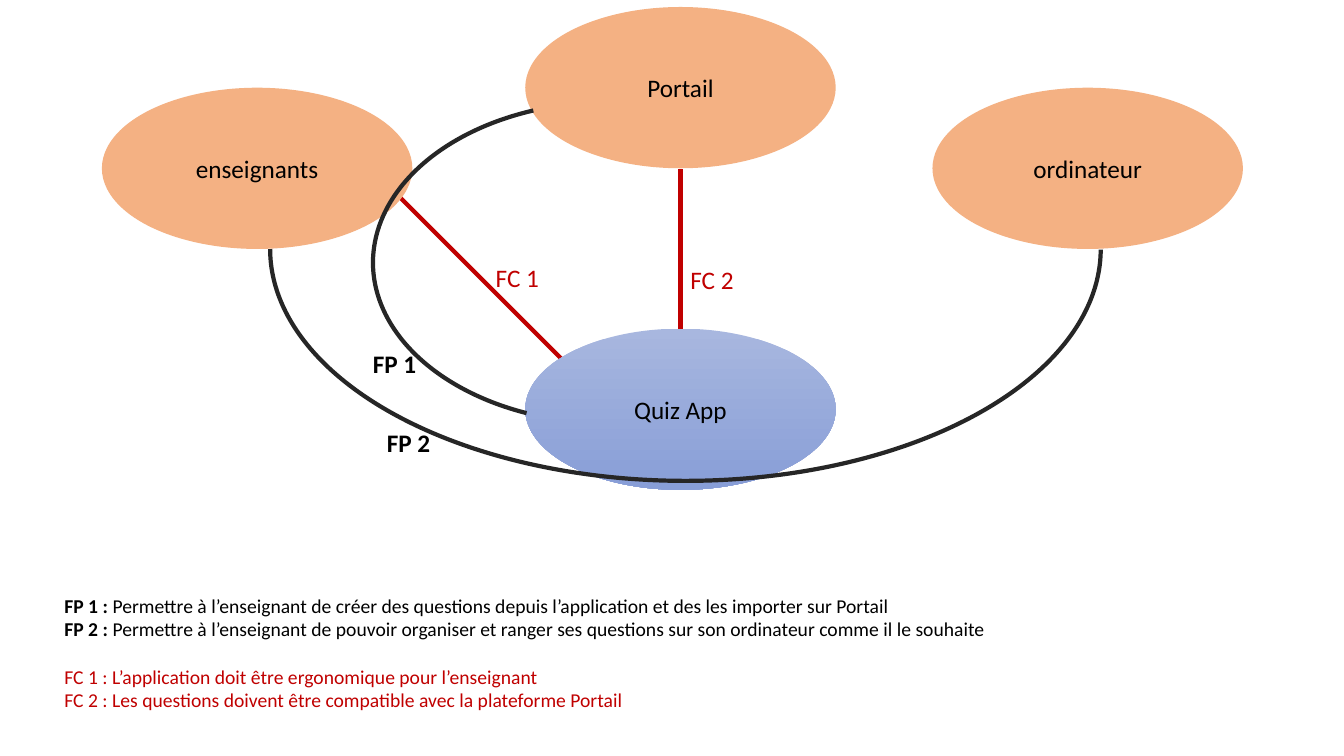
from dataclasses import dataclass

from lxml import etree
from pptx import Presentation
from pptx import util as u
from pptx.dml.color import RGBColor
from pptx.enum import shapes, text
from pptx.oxml.ns import qn

FONT = "Calibri"
BLACK, RED, DARK, ORANGE = "000000", "C00000", "262626", "F4B183"
BLUE_TOP, BLUE_BOTTOM = "A8B7DF", "889ED7"
BUBBLE_SIZE = (23.1, 21.33)
LABEL_SIZE = (5.18, 5.33)

deck = Presentation()
deck.slide_width, deck.slide_height = u.Inches(13.333), u.Inches(7.5)
slide = deck.slides.add_slide(deck.slide_layouts[6])


# Places and sizes are percentages of the slide's width and height
@dataclass
class Bubble:
    caption: str
    x: float
    y: float


@dataclass
class Arc:
    x: float
    y: float
    width: float
    height: float
    start: float  # degrees
    end: float


@dataclass
class Label:
    caption: str
    x: float
    y: float
    color: str
    bold: bool


@dataclass
class Definition:
    lead: str
    wording: str
    color: str
    bold_lead: bool
    gap: float = 0  # points above


def across(share: float) -> int:
    return round(deck.slide_width * share / 100)


def down(share: float) -> int:
    return round(deck.slide_height * share / 100)


def box(x: float, y: float, width: float, height: float) -> tuple:
    return across(x), down(y), across(width), down(height)


def rgb(color: str) -> RGBColor:
    return RGBColor.from_string(color)


def add_run(paragraph, wording: str, size: float, color: str, bold: bool = False) -> None:
    run = paragraph.add_run()
    run.text = wording
    run.font.name, run.font.size, run.font.bold = FONT, u.Pt(size), bold
    run.font.color.rgb = rgb(color)


def draw_link(x1: float, y1: float, x2: float, y2: float):
    link = slide.shapes.add_connector(
        shapes.MSO_CONNECTOR.STRAIGHT, across(x1), down(y1), across(x2), down(y2))
    link.line.color.rgb, link.line.width = rgb(RED), u.Pt(3)
    etree.SubElement(link._element.spPr, qn("a:effectLst"))
    return link


def draw_bubble(bubble: Bubble):
    oval = slide.shapes.add_shape(
        shapes.MSO_SHAPE.OVAL, *box(bubble.x, bubble.y, *BUBBLE_SIZE))
    oval.shadow.inherit = False
    oval.fill.solid()
    oval.fill.fore_color.rgb = rgb(ORANGE)
    oval.line.fill.background()
    oval.text_frame.vertical_anchor = text.MSO_ANCHOR.MIDDLE
    caption = oval.text_frame.paragraphs[0]
    caption.alignment = text.PP_ALIGN.CENTER
    add_run(caption, bubble.caption, 18, BLACK)
    return oval


def draw_arc(arc: Arc) -> None:
    curve = slide.shapes.add_shape(
        shapes.MSO_SHAPE.ARC, *box(arc.x, arc.y, arc.width, arc.height))
    curve.rotation = 180
    # Angles are stored in 60000ths of a degree, adjustments in 100000ths
    curve.adjustments[0], curve.adjustments[1] = arc.start * 0.6, arc.end * 0.6
    curve.shadow.inherit = False
    curve.fill.background()
    curve.line.color.rgb, curve.line.width = rgb(DARK), u.Pt(3)


def add_text_frame(x: float, y: float, width: float, height: float):
    frame = slide.shapes.add_textbox(*box(x, y, width, height)).text_frame
    frame.word_wrap = True
    return frame


def draw_label(label: Label) -> None:
    frame = add_text_frame(label.x, label.y, *LABEL_SIZE)
    add_run(frame.paragraphs[0], label.caption, 18, label.color, label.bold)


# Teacher constraint, behind the bubbles
draw_link(29.63, 25.87, 42.15, 48.13)

# Application and its surroundings
quiz_app = draw_bubble(Bubble("Quiz App", 39.08, 43.47))
quiz_app.fill.gradient()
quiz_app.fill.gradient_angle = 270
for stop, color in zip(quiz_app.fill.gradient_stops, (BLUE_TOP, BLUE_BOTTOM)):
    stop.color.rgb = rgb(color)
for position, color in enumerate((BLUE_TOP, BLUE_BOTTOM)):
    quiz_app.fill.gradient_stops[position].position = position

for surrounding in (
    Bubble("ordinateur", 69.38, 11.6),
    Bubble("Portail", 39.08, 0.93),
    Bubble("enseignants", 7.58, 11.6),
):
    draw_bubble(surrounding)

# Main functions
for function_arc in (
    Arc(27.75, 13.47, 35.25, 42.53, 298.96, 63.3),
    Arc(20.1, 2.27, 61.8, 61.33, 180.08, 0),
):
    draw_arc(function_arc)

# Platform constraint
platform_link = draw_link(50.63, 22.4, 50.63, 43.47)
platform_link.end_connect(quiz_app, 0)

# Function labels
for function_label in (
    Label("FP 1", 27, 45.47, BLACK, True),
    Label("FP 2", 28.05, 55.87, BLACK, True),
    Label("FC 1", 36.15, 34, RED, False),
    Label("FC 2", 50.63, 34.27, RED, False),
):
    draw_label(function_label)

# Definitions
definitions = (
    Definition("FP 1 : ", "Permettre à l’enseignant de créer des questions depuis "
               "l’application et des les importer sur Portail", BLACK, True),
    Definition("FP 2 : ", "Permettre à l’enseignant de pouvoir organiser et ranger ses "
               "questions sur son ordinateur comme il le souhaite", BLACK, True),
    Definition("FC 1 : ", "L’application doit être ergonomique pour l’enseignant",
               RED, False, 17),
    Definition("FC 2 : ", "Les questions doivent être compatible avec la plateforme Portail",
               RED, False),
)
legend = add_text_frame(4.05, 77.87, 73.2, 17.07)
for index, definition in enumerate(definitions):
    entry = legend.add_paragraph() if index else legend.paragraphs[0]
    entry.space_before = u.Pt(definition.gap)
    add_run(entry, definition.lead, 14, definition.color, definition.bold_lead)
    add_run(entry, definition.wording, 14, definition.color)

deck.save("out.pptx")
